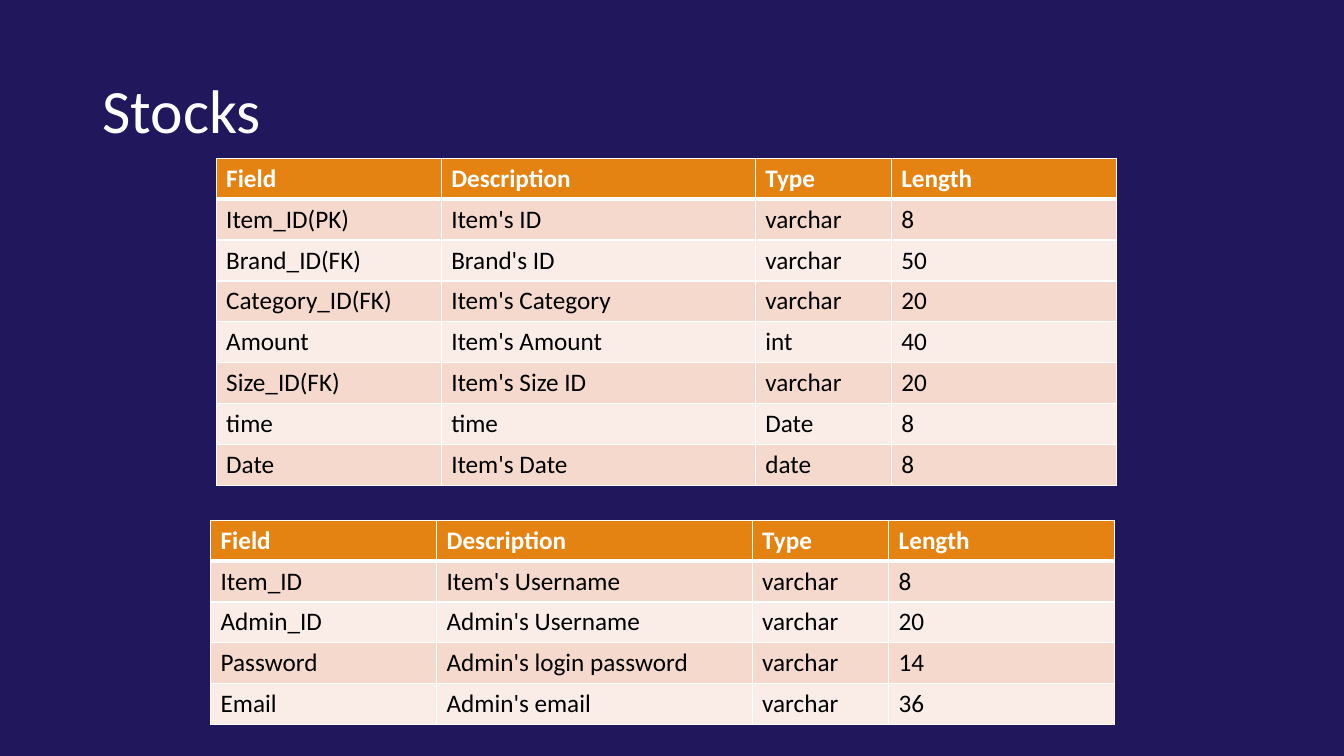
from pptx import Presentation
from pptx.dml.color import RGBColor
from pptx.enum.text import MSO_ANCHOR, PP_ALIGN
from pptx.oxml import parse_xml
from pptx.oxml.ns import nsdecls
from pptx.util import Pt

FONT = "Calibri"
WHITE = "FFFFFF"
BLACK = "000000"
NAVY = "21175D"
ORANGE = "E48312"
BANDS = ["FAEDE7", "F5D9CC"]
ROW_HEIGHT = 29.25
COLUMN_SHARES = [0.25, 0.349, 0.151, 0.25]
HEADINGS = ("Field", "Description", "Type", "Length")

STOCK_FIELDS = [
    ("Item_ID(PK)", "Item's ID", "varchar", "8"),
    ("Brand_ID(FK)", "Brand's ID", "varchar", "50"),
    ("Category_ID(FK)", "Item's Category", "varchar", "20"),
    ("Amount", "Item's Amount", "int", "40"),
    ("Size_ID(FK)", "Item's Size ID", "varchar", "20"),
    ("time", "time", "Date", "8"),
    ("Date", "Item's Date", "date", "8"),
]
ADMIN_FIELDS = [
    ("Item_ID", "Item's Username", "varchar", "8"),
    ("Admin_ID", "Admin's Username", "varchar", "20"),
    ("Password", "Admin's login password", "varchar", "14"),
    ("Email", "Admin's email", "varchar", "36"),
]


def color(value):
    return RGBColor.from_string(value)


def format_text(para, size, text_color, bold=False):
    for span in para.runs:
        span.font.name = FONT
        span.font.size = Pt(size)
        span.font.bold = bold
        span.font.color.rgb = color(text_color)


def add_borders(cell, top, bottom):
    properties = cell._tc.get_or_add_tcPr()
    for side, width in (("L", 1), ("R", 1), ("T", top), ("B", bottom)):
        properties.append(parse_xml(
            f'<a:ln{side} {nsdecls("a")} w="{Pt(width)}"><a:solidFill>'
            f'<a:srgbClr val="{WHITE}"/></a:solidFill></a:ln{side}>'))


def add_title(slide, text, left, top, width, height):
    title = slide.shapes.title
    title.left, title.top = Pt(left), Pt(top)
    title.width, title.height = Pt(width), Pt(height)
    frame = title.text_frame
    frame.text = text
    frame.vertical_anchor = MSO_ANCHOR.MIDDLE
    para = frame.paragraphs[0]
    para.alignment = PP_ALIGN.LEFT
    para.line_spacing = 0.9
    format_text(para, 44, WHITE)


def add_field_table(slide, fields, left, top, width):
    rows = [HEADINGS] + fields
    table = slide.shapes.add_table(
        len(rows), len(HEADINGS), Pt(left), Pt(top),
        Pt(width), Pt(ROW_HEIGHT * len(rows))).table
    for column, share in zip(table.columns, COLUMN_SHARES):
        column.width = Pt(width * share)
    for row_index, values in enumerate(rows):
        table.rows[row_index].height = Pt(ROW_HEIGHT)
        header = row_index == 0
        for column_index, value in enumerate(values):
            cell = table.cell(row_index, column_index)
            add_borders(cell, 3 if row_index == 1 else 1, 3 if header else 1)
            cell.fill.solid()
            cell.fill.fore_color.rgb = color(ORANGE if header else BANDS[row_index % 2])
            cell.text_frame.text = value
            format_text(cell.text_frame.paragraphs[0], 18, WHITE if header else BLACK, header)


def add_stocks_slide(deck):
    slide = deck.slides.add_slide(deck.slide_layouts[5])
    slide.background.fill.solid()
    slide.background.fill.fore_color.rgb = color(NAVY)
    add_title(slide, "Stocks", 66, 28.75, 828, 104.4)
    add_field_table(slide, STOCK_FIELDS, 154.4, 113, 643)
    add_field_table(slide, ADMIN_FIELDS, 150.4, 371.5, 645.8)


def main():
    deck = Presentation()
    deck.slide_width, deck.slide_height = Pt(960), Pt(540)
    add_stocks_slide(deck)
    deck.save("out.pptx")


if __name__ == "__main__":
    main()
